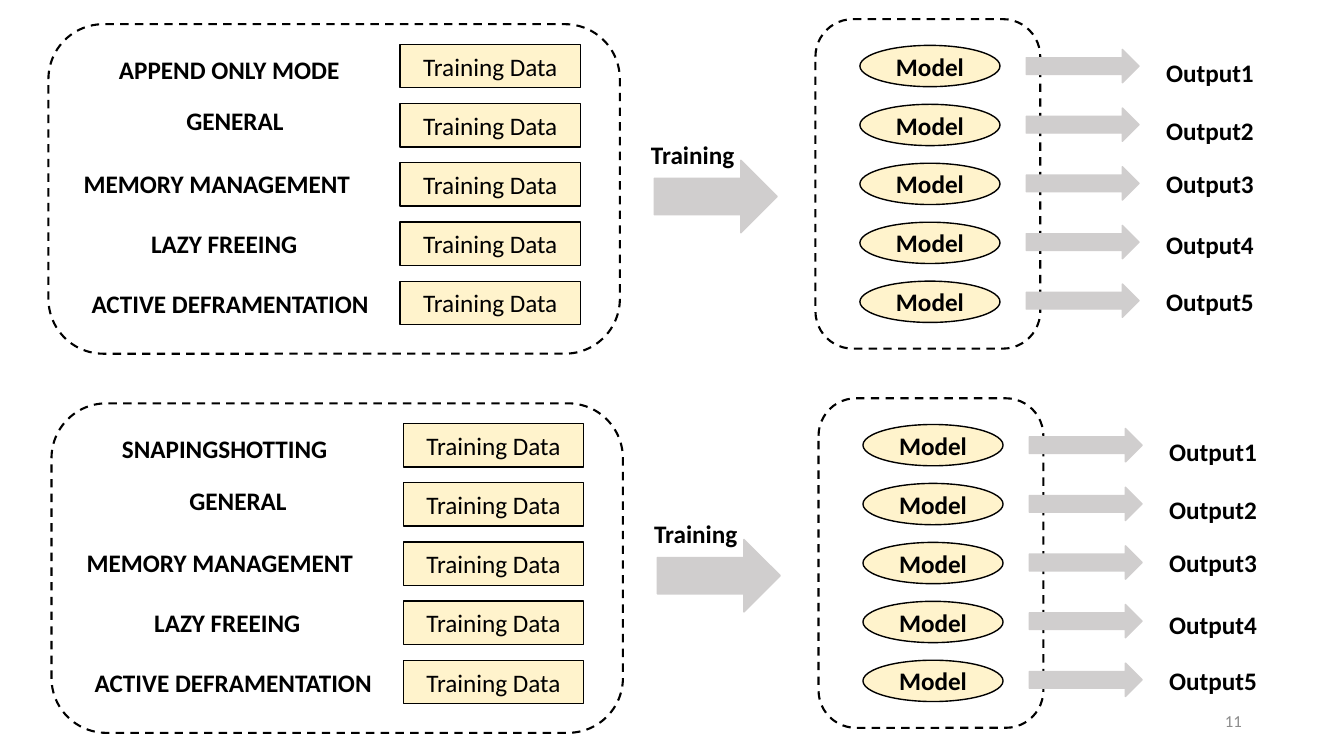
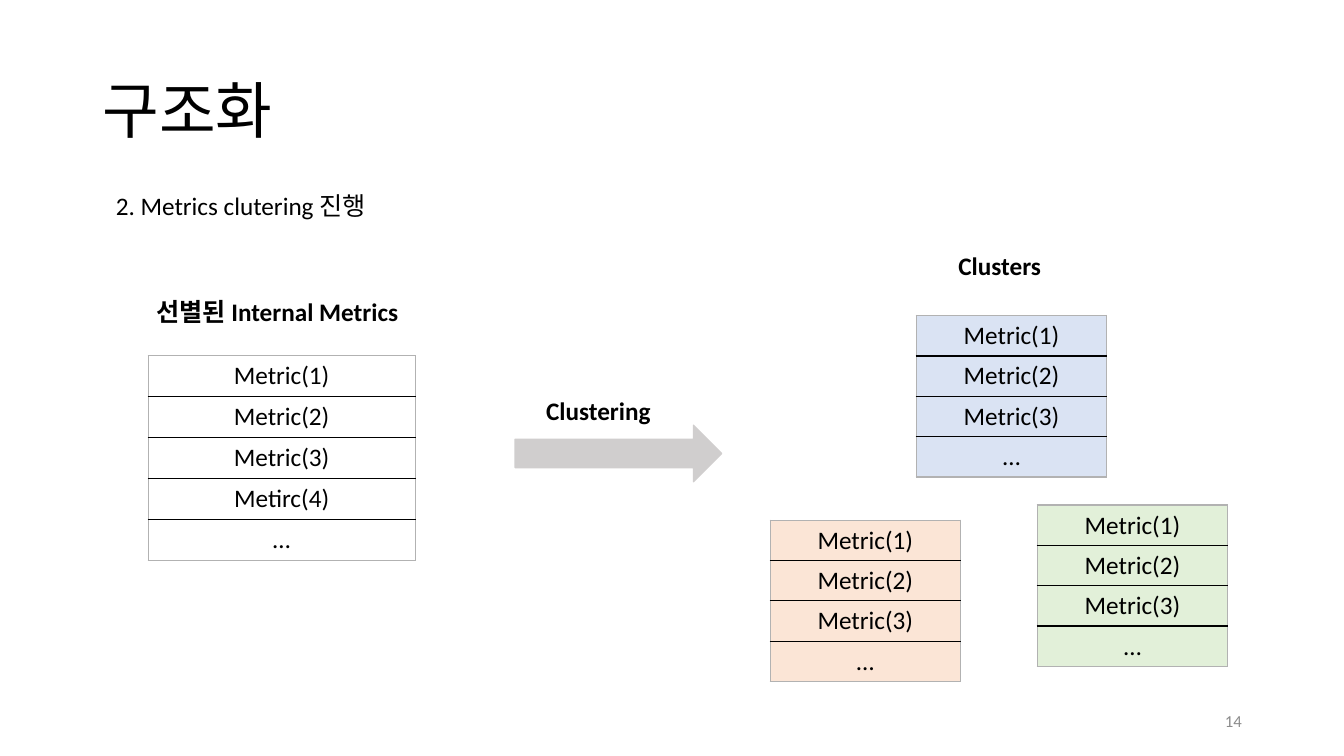
import dataclasses

import pptx
import pptx.dml.color
import pptx.enum.dml
import pptx.enum.shapes
import pptx.enum.text
import pptx.oxml
import pptx.oxml.ns
import pptx.util

Pt = pptx.util.Pt
Form = pptx.enum.shapes.MSO_SHAPE
Align = pptx.enum.text.PP_ALIGN
Anchor = pptx.enum.text.MSO_ANCHOR
Dash = pptx.enum.dml.MSO_LINE


@dataclasses.dataclass(frozen=True)
class Theme:
    face: str = "Calibri"
    ink: str = "000000"
    paper: str = "FFFFFF"
    cream: str = "FFF3CC"
    gray: str = "D0CECE"
    edge: str = "B2B2B2"
    mute: str = "8C8C8C"
    blue: str = "DAE3F3"
    peach: str = "FBE5D6"
    green: str = "E2F0D9"
    head: float = 44
    body: float = 18
    foot: float = 12


THEME = Theme()


def tint(code):
    return pptx.dml.color.RGBColor.from_string(code)


def apply(target, values):
    for name, value in values.items():
        setattr(target, name, value)


def write(frame, text, size=THEME.body, ink=THEME.ink, bold=False, **style):
    par = frame.paragraphs[0]
    apply(par, style)
    run = par.add_run()
    run.text = text
    apply(run.font, {"name": THEME.face, "size": Pt(size), "bold": bold})
    run.font.color.rgb = tint(ink)


def label(shapes, spot, text, anchor=Anchor.TOP, **style):
    frame = shapes.add_textbox(*map(Pt, spot)).text_frame
    apply(frame, {"word_wrap": True, "vertical_anchor": anchor})
    write(frame, text, **style)


def draw(shapes, form, spot, fill, edge=THEME.ink, width=1, dash=None):
    shape = shapes.add_shape(form, *map(Pt, spot))
    shape.shadow.inherit = False
    shape.fill.solid()
    shape.fill.fore_color.rgb = tint(fill)
    shape.line.color.rgb = tint(edge)
    apply(shape.line, {"width": Pt(width), "dash_style": dash})
    return shape


def arrow(shapes, spot):
    draw(shapes, Form.RIGHT_ARROW, spot, THEME.gray, THEME.gray)


def frame_box(shapes, spot):
    draw(shapes, Form.ROUNDED_RECTANGLE, spot, THEME.paper,
         width=1.5, dash=Dash.DASH)


def node(shapes, form, spot, text, bold):
    frame = draw(shapes, form, spot, THEME.cream).text_frame
    apply(frame, {"word_wrap": True, "vertical_anchor": Anchor.MIDDLE})
    write(frame, text, bold=bold, alignment=Align.CENTER)


def border(cell, sides):
    props = cell._tc.get_or_add_tcPr()
    space = pptx.oxml.ns.nsdecls("a")
    for spot, (side, ink) in enumerate(sides.items()):
        props.insert(spot, pptx.oxml.parse_xml(
            f'<a:{side} {space} w="12700"><a:solidFill>'
            f'<a:srgbClr val="{ink}"/></a:solidFill></a:{side}>'))


def stack(slide, left, top, width, step, items, fill=None):
    count = len(items)
    spot = map(Pt, (left, top, width, step * count))
    table = slide.shapes.add_table(count, 1, *spot).table
    apply(table, {"first_row": False, "horz_banding": False})
    for row, text in enumerate(items):
        table.rows[row].height = Pt(step)
        cell = table.cell(row, 0)
        if fill:
            cell.fill.solid()
            cell.fill.fore_color.rgb = tint(fill)
        else:
            cell.fill.background()
        write(cell.text_frame, text, alignment=Align.CENTER)
        border(cell, {
            "lnL": THEME.edge,
            "lnR": THEME.edge,
            "lnT": THEME.ink if row else THEME.edge,
            "lnB": THEME.ink if row < count - 1 else THEME.edge,
        })


def panel(slide, dx, dy, first):
    shapes = slide.shapes.add_group_shape().shapes

    def at(left, top, width, height):
        return left + dx, top + dy, width, height

    arrow(shapes, at(467.3, 114.5, 87.8, 51.8))
    label(shapes, at(457.9, 95.8, 87.8, 18.7), "Training", bold=True)
    frame_box(shapes, at(34.6, 17.3, 408.2, 235.4))
    for row in range(5):
        node(shapes, Form.RECTANGLE, at(285.8, 31.7 + 42.3 * row, 128.9, 31),
             "Training Data", False)
    groups = (
        (first, 77.8, 35.3, 181.4),
        ("GENERAL", 126, 72, 90),
        ("MEMORY MANAGEMENT", 52.6, 116.6, 231.1),
        ("LAZY FREEING", 100.8, 159.8, 135.4),
        ("ACTIVE DEFRAMENTATION", 58.3, 202.3, 222),
    )
    for text, left, top, width in groups:
        label(shapes, at(left, top, width, 28.8), text, bold=True)
    frame_box(shapes, at(582.5, 13.7, 160.6, 235.4))
    for row, top in enumerate((37.4, 78.5, 116.6, 160.6, 200.9)):
        node(shapes, Form.OVAL, at(614.2, 32.4 + 42.1 * row, 100.1, 29.5),
             "Model", True)
        arrow(shapes, at(733, 35.3 + 41.9 * row, 80.6, 23.8))
        label(shapes, at(825.8, top, 95, 28.8), f"Output{row + 1}", bold=True)


def start(deck, page):
    slide = deck.slides.add_slide(deck.slide_layouts[6])
    label(slide.shapes, (678.2, 500.4, 216, 28.8), page, Anchor.MIDDLE,
          size=THEME.foot, ink=THEME.mute, alignment=Align.RIGHT)
    return slide


def models(deck):
    slide = start(deck, "11")
    panel(slide, 0, 0, "APPEND ONLY MODE")
    panel(slide, 2.2, 270.8, "SNAPINGSHOTTING")


def clusters(deck):
    slide = start(deck, "14")
    shapes = slide.shapes
    label(shapes, (66.2, 28.8, 828, 104.4), "구조화", Anchor.MIDDLE,
          size=THEME.head, line_spacing=0.9)
    label(shapes, (75.6, 110.9, 380.9, 44.6), "2. Metrics clutering 진행",
          line_spacing=2.0)
    label(shapes, (104.4, 208.1, 199.4, 28.8), "선별된 Internal Metrics",
          bold=True)
    label(shapes, (677.5, 175, 199.4, 28.8), "Clusters", bold=True)
    names = [f"Metric({index})" for index in (1, 2, 3)]
    stack(slide, 105.8, 254.2, 190.8, 29.25, names + ["Metirc(4)", "…"])
    for left, top, fill in (
        (654.5, 225.4, THEME.blue),
        (550.1, 371.5, THEME.peach),
        (740.9, 360.7, THEME.green),
    ):
        stack(slide, left, top, 136.1, 28.8, names + ["…"], fill)
    group = shapes.add_group_shape().shapes
    arrow(group, (367.9, 303.8, 147.6, 40.3))
    label(group, (383, 278.6, 94, 28.8), "Clustering", bold=True)


def main():
    deck = pptx.Presentation()
    apply(deck, {"slide_width": Pt(960), "slide_height": Pt(540)})
    models(deck)
    clusters(deck)
    deck.save("out.pptx")


if __name__ == "__main__":
    main()
